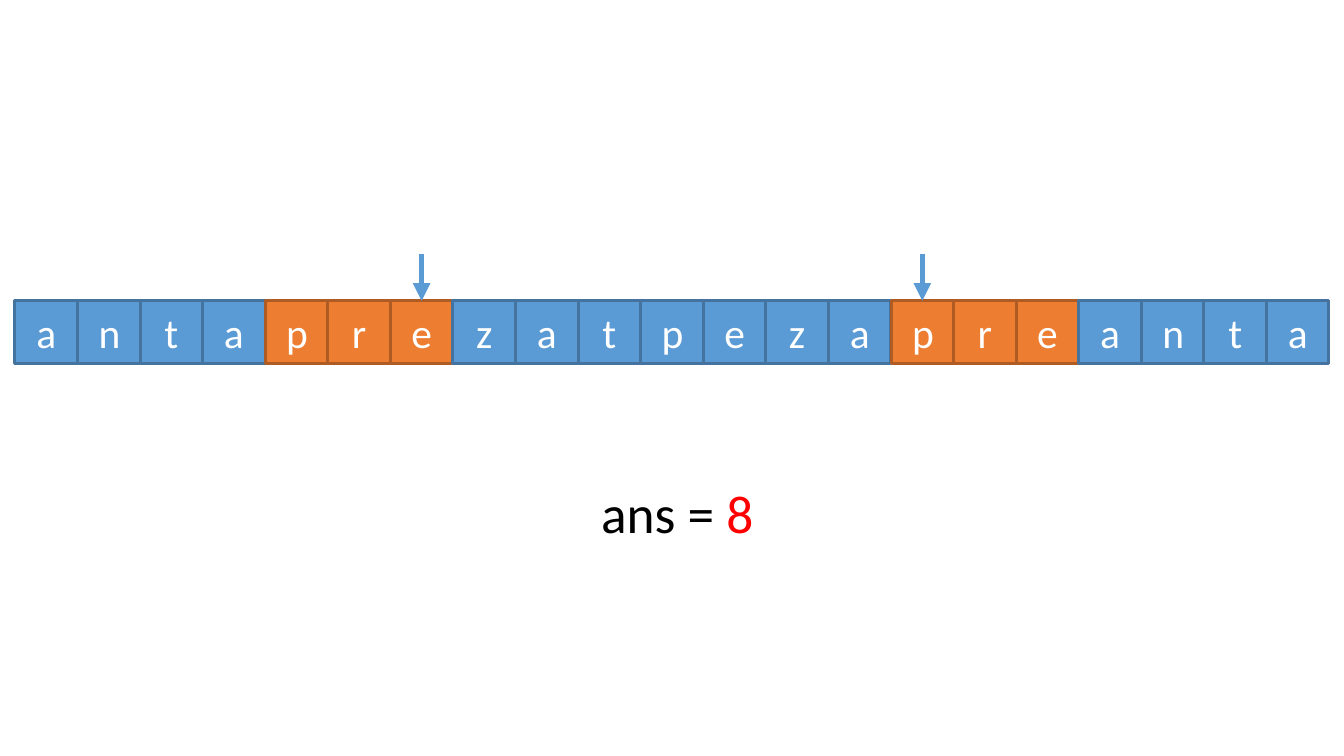
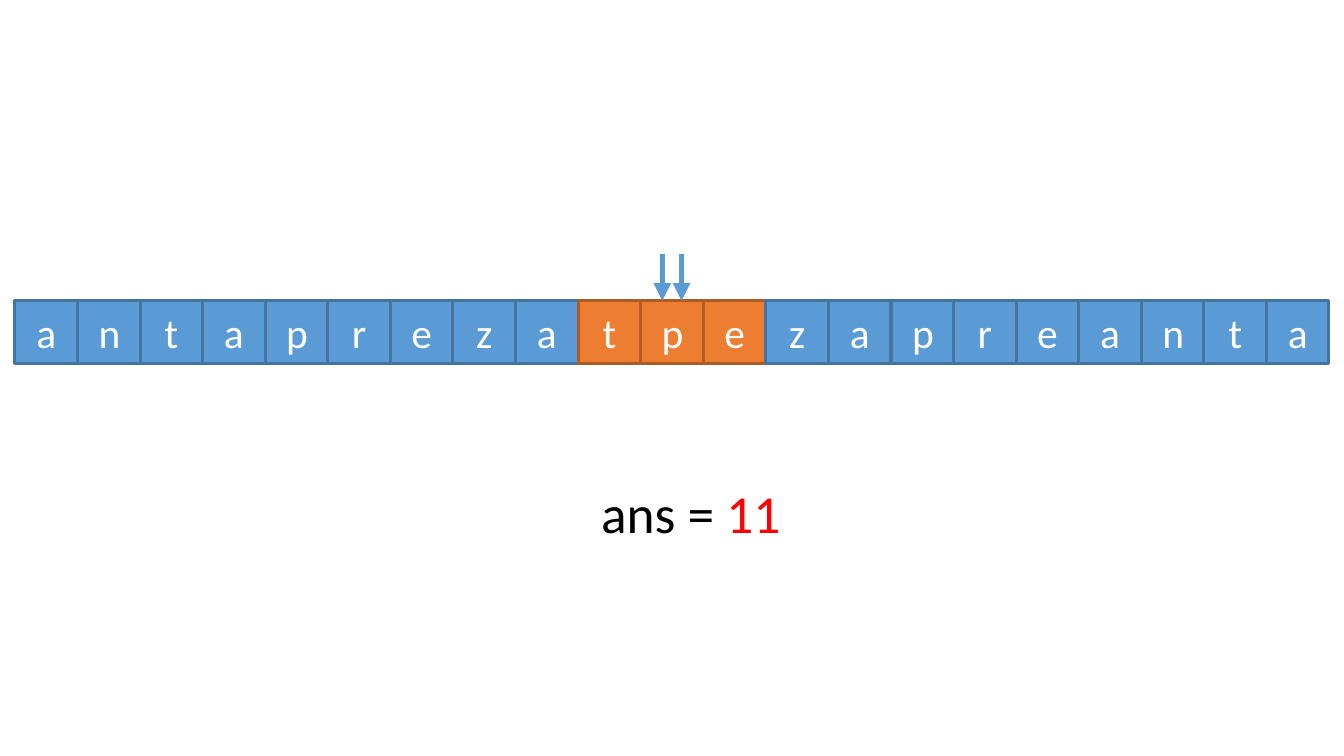
from pptx import Presentation
from pptx.dml.color import RGBColor
from pptx.enum.shapes import MSO_CONNECTOR, MSO_SHAPE
from pptx.enum.text import MSO_ANCHOR, MSO_AUTO_SIZE, PP_ALIGN
from pptx.oxml.ns import qn
from pptx.util import Inches, Pt
from lxml import etree

RECT, LINE = MSO_SHAPE.RECTANGLE, MSO_CONNECTOR.STRAIGHT
CENTER, MIDDLE = PP_ALIGN.CENTER, MSO_ANCHOR.MIDDLE
GROW = MSO_AUTO_SIZE.SHAPE_TO_FIT_TEXT

# Content: letters, then marked cells, pointer cells and answer per slide
WORD = "antaprezatpezapreanta"
STEPS = [
    {"marked": {4, 5, 6, 14, 15, 16}, "ends": (6, 14), "answer": "8"},
    {"marked": {9, 10, 11}, "ends": (10, 10), "answer": "11"},
]

# Shared style
FONT = "Calibri"
PLAIN = ("5B9BD5", "43739E")
MARKED = ("ED7D31", "AF5C24")
WHITE, BLACK, RED = "FFFFFF", "000000", "FF0000"

# Shared layout, in inches, on a 16:9 slide
WIDTH = 6.3
HEIGHT = WIDTH * 9 / 16
LEFT, TOP = 0.07, 1.41
CELL = (WIDTH - 2 * LEFT) / len(WORD)
TAIL_Y = 1.19
GAP = 0.09  # between two pointers on one cell


def color(code):
    return RGBColor.from_string(code)


def style(run, size, code):
    run.font.name = FONT
    run.font.size = Pt(size)
    run.font.color.rgb = color(code)


def add_cell(slide, index, letter, colors):
    box = slide.shapes.add_shape(RECT, Inches(LEFT + index * CELL), Inches(TOP),
                                 Inches(CELL), Inches(CELL))
    box.shadow.inherit = False
    fill, edge = colors
    box.fill.solid()
    box.fill.fore_color.rgb = color(fill)
    box.line.color.rgb = color(edge)
    box.line.width = Pt(1)
    frame = box.text_frame
    frame.vertical_anchor = MIDDLE
    frame.text = letter
    par = frame.paragraphs[0]
    par.alignment = CENTER
    style(par.runs[0], 14, WHITE)


def add_answer(slide, answer):
    box = slide.shapes.add_textbox(Inches(2.72), Inches(2.2), Inches(1.16), Inches(0.4))
    frame = box.text_frame
    frame.word_wrap = True
    frame.auto_size = GROW
    for text, code in (("ans = ", BLACK), (answer, RED)):
        run = frame.paragraphs[0].add_run()
        run.text = text
        style(run, 18, code)


def add_arrow(slide, x):
    arrow = slide.shapes.add_connector(LINE, Inches(x), Inches(TAIL_Y),
                                       Inches(x), Inches(TOP))
    arrow.line.color.rgb = color(PLAIN[0])
    arrow.line.width = Pt(1.5)
    props = arrow._element.spPr.find(qn("a:ln"))
    etree.SubElement(props, qn("a:tailEnd"), type="triangle")
    etree.SubElement(arrow._element.spPr, qn("a:effectLst"))


deck = Presentation()
deck.slide_width, deck.slide_height = Inches(WIDTH), Inches(HEIGHT)
blank = deck.slide_layouts[6]

for step in STEPS:
    slide = deck.slides.add_slide(blank)
    # Row of letters
    for index, letter in enumerate(WORD):
        add_cell(slide, index, letter, MARKED if index in step["marked"] else PLAIN)
    add_answer(slide, step["answer"])
    # Pointers sit over cell centres and part when they meet
    first, last = step["ends"]
    shift = GAP / 2 if first == last else 0
    add_arrow(slide, LEFT + (first + 0.5) * CELL - shift)
    add_arrow(slide, LEFT + (last + 0.5) * CELL + shift)

deck.save("out.pptx")
